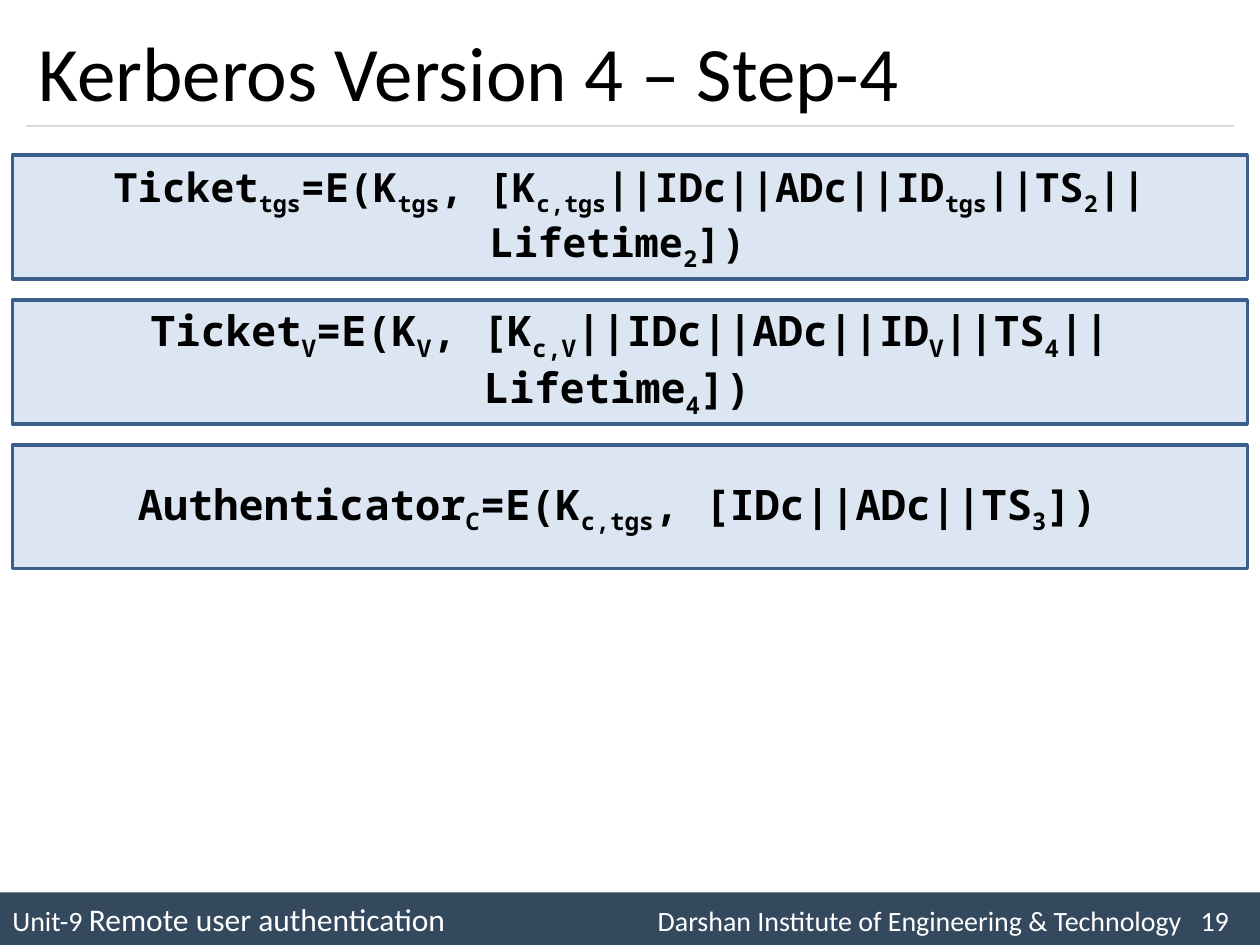
"""Build the Kerberos Version 4 Step-4 slide with its three message formulas."""
import pptx
import pptx.dml.color
import pptx.enum.shapes
import pptx.enum.text
import pptx.oxml
import pptx.oxml.ns
import pptx.util

Pt = pptx.util.Pt
RGB = pptx.dml.color.RGBColor.from_string
ANCHOR = pptx.enum.text.MSO_ANCHOR
ALIGN = pptx.enum.text.PP_ALIGN
RECT = pptx.enum.shapes.MSO_SHAPE.RECTANGLE
NS = pptx.oxml.ns.nsdecls("a")
COLORS = {
    "text": "000000",
    "footer": "34495E",
    "footer_text": "FFFFFF",
    "rule": "D9D9D9",
    "box": "DCE6F2",
    "border": "3A5F8C",
}


def add_run(p, text, color, **formats):
    r = p.add_run()
    r.text = text
    r.font.color.rgb = RGB(COLORS[color])
    for name, value in formats.items():
        setattr(r.font, name, value)
    return r


def add_box(s, top, height, left, width, fill):
    sp = s.shapes.add_shape(RECT, Pt(left), Pt(top), Pt(width), Pt(height))
    sp.shadow.inherit = False
    sp.fill.solid()
    sp.fill.fore_color.rgb = RGB(COLORS[fill])
    sp.text_frame.word_wrap = True
    sp.text_frame.vertical_anchor = ANCHOR.MIDDLE
    return sp


prs = pptx.Presentation()
prs.slide_width, prs.slide_height = Pt(720), Pt(540)
s = prs.slides.add_slide(prs.slide_layouts[5])

sp = add_box(s, 510, 30, 0, 720, "footer")
sp.line.fill.background()
p = sp.text_frame.paragraphs[0]
p.alignment = ALIGN.LEFT
tabs = pptx.oxml.parse_xml(f"<a:tabLst {NS}/>")
for position in (368.8, 679):
    tabs.append(pptx.oxml.parse_xml(f'<a:tab {NS} pos="{Pt(position)}" algn="l"/>'))
p._p.get_or_add_pPr().append(tabs)
for text, size in (
    ("Unit-9 ", 16),
    ("Remote user authentication", 18),
    ("\tDarshan Institute of Engineering & Technology\t19", 16),
):
    add_run(p, text, "footer_text", name="Calibri", size=Pt(size))

rule = s.shapes.add_connector(
    pptx.enum.shapes.MSO_CONNECTOR.STRAIGHT, Pt(15), Pt(72), Pt(705), Pt(72)
)
rule.line.color.rgb = RGB(COLORS["rule"])
rule.line.width = Pt(0.75)
rule._element.spPr.append(pptx.oxml.parse_xml(f"<a:effectLst {NS}/>"))

title = s.shapes.title
for name, value in {"left": 15, "top": 8.6, "width": 690, "height": 63.4}.items():
    setattr(title, name, Pt(value))
tf = title.text_frame
tf.word_wrap = True
tf.vertical_anchor = ANCHOR.MIDDLE
p = tf.paragraphs[0]
p.alignment = ALIGN.LEFT
add_run(p, "Kerberos Version 4 – Step-4", "text", name="Calibri", size=Pt(44))

formulas = (
    (23, "Ticket_tgs_=E(K_tgs_, [K_c,tgs_||IDc||ADc||ID_tgs_||TS_2_||Lifetime_2_]) "),
    (24, "Ticket_V_=E(K_V_, [K_c,V_||IDc||ADc||ID_V_||TS_4_||Lifetime_4_]) "),
    (24, "Authenticator_C_=E(K_c,tgs_, [IDc||ADc||TS_3_]) "),
)
for row, (size, formula) in enumerate(formulas):
    sp = add_box(s, 88.6 + 82.8 * row, 70.8, 7.2, 705.6, "box")
    sp.line.color.rgb = RGB(COLORS["border"])
    sp.line.width = Pt(2)
    p = sp.text_frame.paragraphs[0]
    p.alignment = ALIGN.CENTER
    for i, part in enumerate(formula.split("_")):
        r = add_run(p, part, "text", name="Noto Sans Mono", size=Pt(size), bold=True)
        if i % 2:
            r._r.get_or_add_rPr().set("baseline", "-25000")

prs.save("out.pptx")
